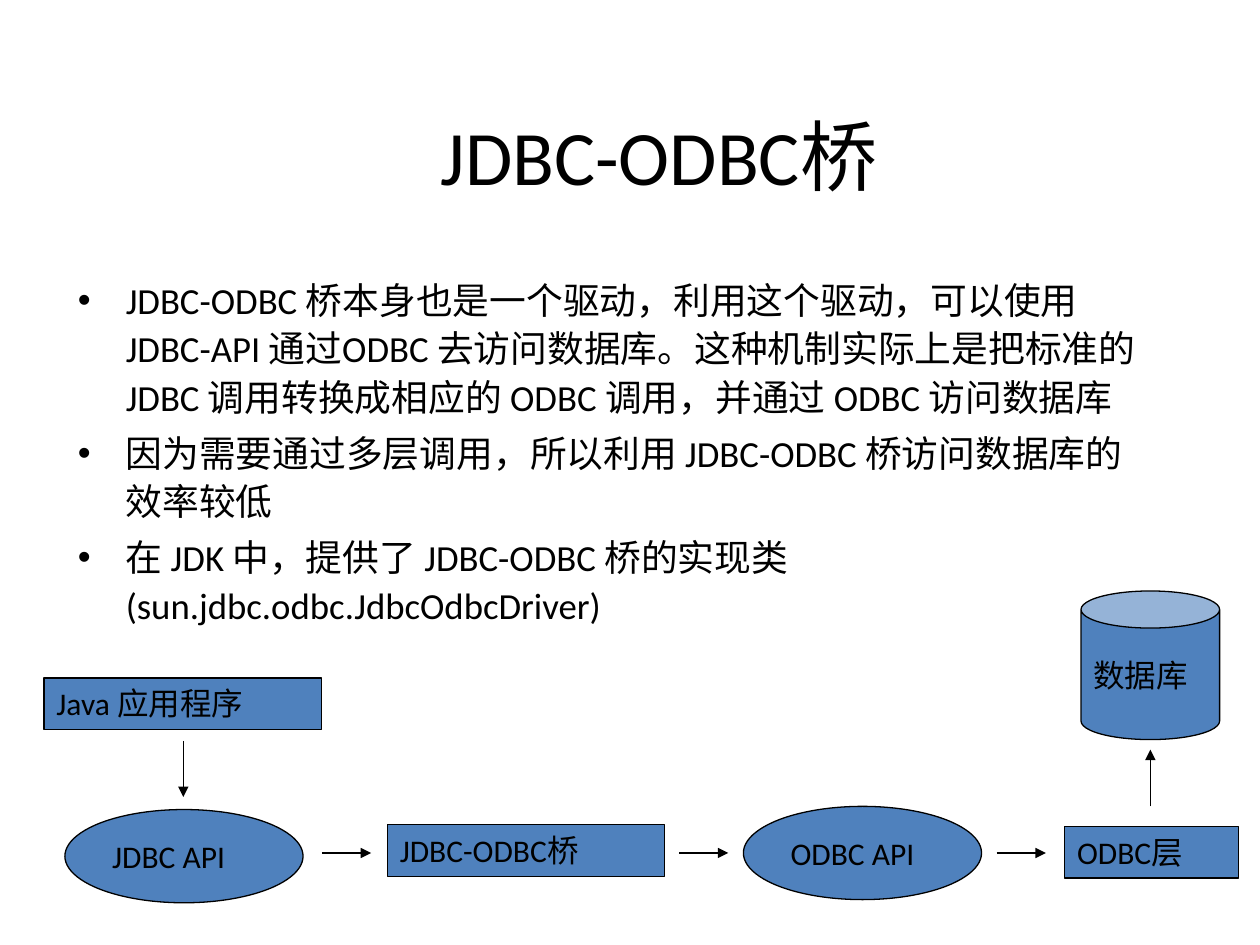
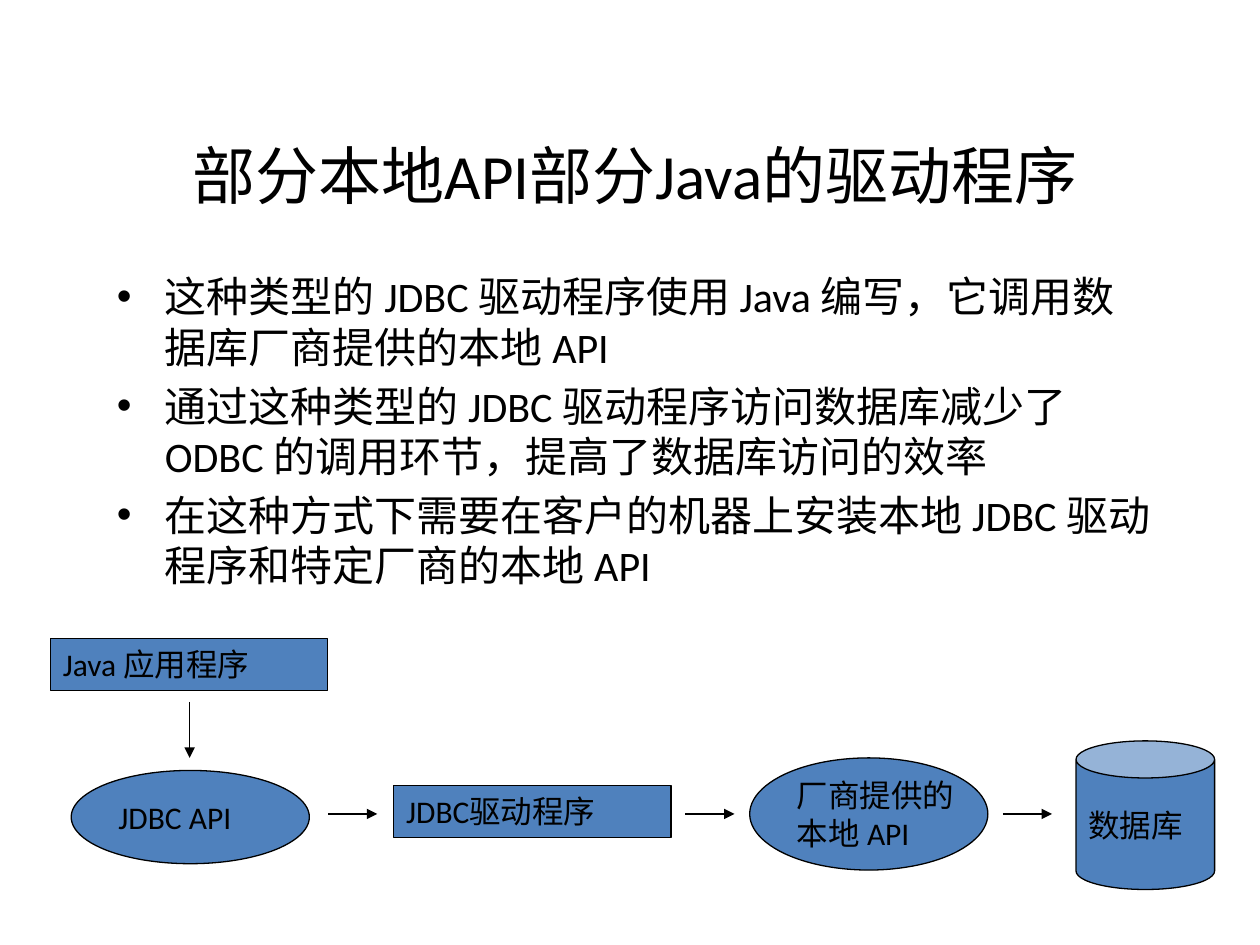
from lxml.etree import SubElement
from pptx import Presentation
from pptx.dml.color import RGBColor
from pptx.enum.shapes import MSO_CONNECTOR, MSO_SHAPE
from pptx.enum.text import MSO_ANCHOR as Anchor, MSO_AUTO_SIZE as AutoSize, PP_ALIGN as Align
from pptx.oxml.ns import qn
from pptx.util import Inches, Pt

BLACK = RGBColor(0x00, 0x00, 0x00)
BLUE = RGBColor(0x4F, 0x81, 0xBD)
FONT = "Calibri"
COLUMNS, ROWS = 100, 75
UNIT = Inches(10) / COLUMNS
HANG = Inches(0.38)
AXIS = 13.9
LABEL_SIZE = 18
LINE_WIDTH = Pt(0.75)
ARROW = 3.9
BOX_SIZE, LAYER_SIZE, OVAL_SIZE, CAN_SIZE = (22, 4.1), (13.8, 4.1), (18.9, 7.4), (11, 11.8)
TALL_OVAL_SIZE = (18.9, 8.9)

BRIDGE_POINTS = [
    "JDBC-ODBC 桥本身也是一个驱动，利用这个驱动，可以使用 JDBC-API 通过ODBC 去访问数据库。"
    "这种机制实际上是把标准的 JDBC 调用转换成相应的 ODBC 调用，并通过 ODBC 访问数据库",
    "因为需要通过多层调用，所以利用 JDBC-ODBC 桥访问数据库的效率较低",
    "在 JDK 中，提供了 JDBC-ODBC 桥的实现类(sun.jdbc.odbc.JdbcOdbcDriver)",
]
NATIVE_POINTS = [
    "这种类型的 JDBC 驱动程序使用 Java 编写，它调用数据库厂商提供的本地 API",
    "通过这种类型的 JDBC 驱动程序访问数据库减少了 ODBC 的调用环节，提高了数据库访问的效率",
    "在这种方式下需要在客户的机器上安装本地 JDBC 驱动程序和特定厂商的本地 API",
]


def grid(*units):
    """Turn grid columns or rows into lengths."""
    return [round(unit * UNIT) for unit in units]


def apply(target, values):
    """Set the attributes of an object from a dict."""
    for name, value in values.items():
        setattr(target, name, value)


def write(frame, lines, size, frame_format, paragraph_format, bullet=False, hang=True):
    """Fill a text frame with one paragraph per line."""
    apply(frame, frame_format)
    for index, line in enumerate(lines):
        paragraph = frame.add_paragraph() if index else frame.paragraphs[0]
        run = paragraph.add_run()
        run.text = line
        apply(run.font, {"name": FONT, "size": Pt(size)})
        run.font.color.rgb = BLACK
        apply(paragraph, paragraph_format)
        properties = paragraph._p.get_or_add_pPr()
        if hang:
            properties.set("marL", str(HANG))
            properties.set("indent", str(-HANG))
        if bullet:
            SubElement(properties, qn("a:buFont"), typeface="Arial")
            SubElement(properties, qn("a:buChar"), char="•")


def add_title(slide, box, text, size):
    """Place the centred slide title in the box."""
    frame = slide.shapes.add_textbox(*grid(*box)).text_frame
    write(frame, [text], size, {"word_wrap": True, "vertical_anchor": Anchor.MIDDLE},
          {"alignment": Align.CENTER}, hang=False)


def add_points(slide, box, points, size, spacing):
    """Place the bulleted body text in the box."""
    frame = slide.shapes.add_textbox(*grid(*box)).text_frame
    write(frame, points, size, {"word_wrap": True},
          {"line_spacing": spacing, "space_before": Pt(size * 0.2)}, bullet=True)


def add_node(slide, kind, origin, place, size, *lines):
    """Place a labelled shape at an offset from the diagram's origin."""
    left, top = (start + offset for start, offset in zip(origin, place))
    shape = slide.shapes.add_shape(kind, *grid(left, top, *size))
    shape.shadow.inherit = False
    shape.fill.solid()
    shape.fill.fore_color.rgb = BLUE
    shape.line.color.rgb = BLACK
    shape.line.width = LINE_WIDTH
    if kind == MSO_SHAPE.CAN:
        shape.adjustments[0] = 0.268
    if kind == MSO_SHAPE.RECTANGLE:
        frame_format = {"word_wrap": True, "vertical_anchor": Anchor.TOP,
                        "auto_size": AutoSize.SHAPE_TO_FIT_TEXT}
        space = LABEL_SIZE * 0.5
    else:
        frame_format = {"word_wrap": False, "vertical_anchor": Anchor.MIDDLE}
        space = 0
    write(shape.text_frame, lines, LABEL_SIZE, frame_format,
          {"alignment": Align.LEFT, "space_before": Pt(space)})


def add_arrow(slide, origin, start, across=0, down=0):
    """Draw an arrow from a start offset, across or down."""
    left, top = (base + offset for base, offset in zip(origin, start))
    arrow = slide.shapes.add_connector(
        MSO_CONNECTOR.STRAIGHT, *grid(left, top, left + across, top + down))
    arrow.line.color.rgb = BLACK
    arrow.line.width = LINE_WIDTH
    SubElement(arrow.line._get_or_add_ln(), qn("a:tailEnd"), type="triangle")
    SubElement(arrow._element.spPr, qn("a:effectLst"))


def add_chain(slide, origin, driver, vendor, vendor_size):
    """Draw the call chain from the application to the vendor interface."""
    add_node(slide, MSO_SHAPE.RECTANGLE, origin, (0, 0), BOX_SIZE, "Java 应用程序")
    add_arrow(slide, origin, (11.05, 5), down=4.45)
    add_node(slide, MSO_SHAPE.OVAL, origin, (1.65, 10.45), OVAL_SIZE, "JDBC API")
    add_node(slide, MSO_SHAPE.RECTANGLE, origin, (27.25, 11.65), BOX_SIZE, driver)
    vendor_top = AXIS - vendor_size[1] / 2
    add_node(slide, MSO_SHAPE.OVAL, origin, (55.5, vendor_top), vendor_size, *vendor)
    for left in (22.05, 50.4, 75.6):
        add_arrow(slide, origin, (left, AXIS), across=ARROW)


def build_bridge_slide(slide):
    """Build the slide on the bridge driver, with its extra layer."""
    add_title(slide, (8, 7.6, 90, 9.4), "JDBC-ODBC桥 ", 44)
    add_points(slide, (5.2, 21.2, 86.7, 31.3), BRIDGE_POINTS, 21, 1.1)
    origin = (3.5, 53.8)
    add_chain(slide, origin, "JDBC-ODBC桥", ["ODBC API"], OVAL_SIZE)
    add_node(slide, MSO_SHAPE.RECTANGLE, origin, (81, 11.8), LAYER_SIZE, "ODBC层")
    add_arrow(slide, origin, (87.8, 10.2), down=-4.5)
    add_node(slide, MSO_SHAPE.CAN, origin, (82.3, -6.9), CAN_SIZE, "数据库")


def build_native_slide(slide):
    """Build the slide on the driver that calls a native interface."""
    add_title(slide, (8.3, 6, 84.2, 15.7), "部分本地API部分Java的驱动程序", 36)
    add_points(slide, (8.3, 21, 84.2, 27.2), NATIVE_POINTS, 24, 1.0)
    origin = (4, 50.7)
    add_chain(slide, origin, "JDBC驱动程序", ["厂商提供的", "本地 API"], TALL_OVAL_SIZE)
    add_node(slide, MSO_SHAPE.CAN, origin, (81.4, 8.1), CAN_SIZE, "数据库")


presentation = Presentation()
presentation.slide_width, presentation.slide_height = grid(COLUMNS, ROWS)
for build in (build_bridge_slide, build_native_slide):
    build(presentation.slides.add_slide(presentation.slide_layouts[6]))
presentation.save("out.pptx")
